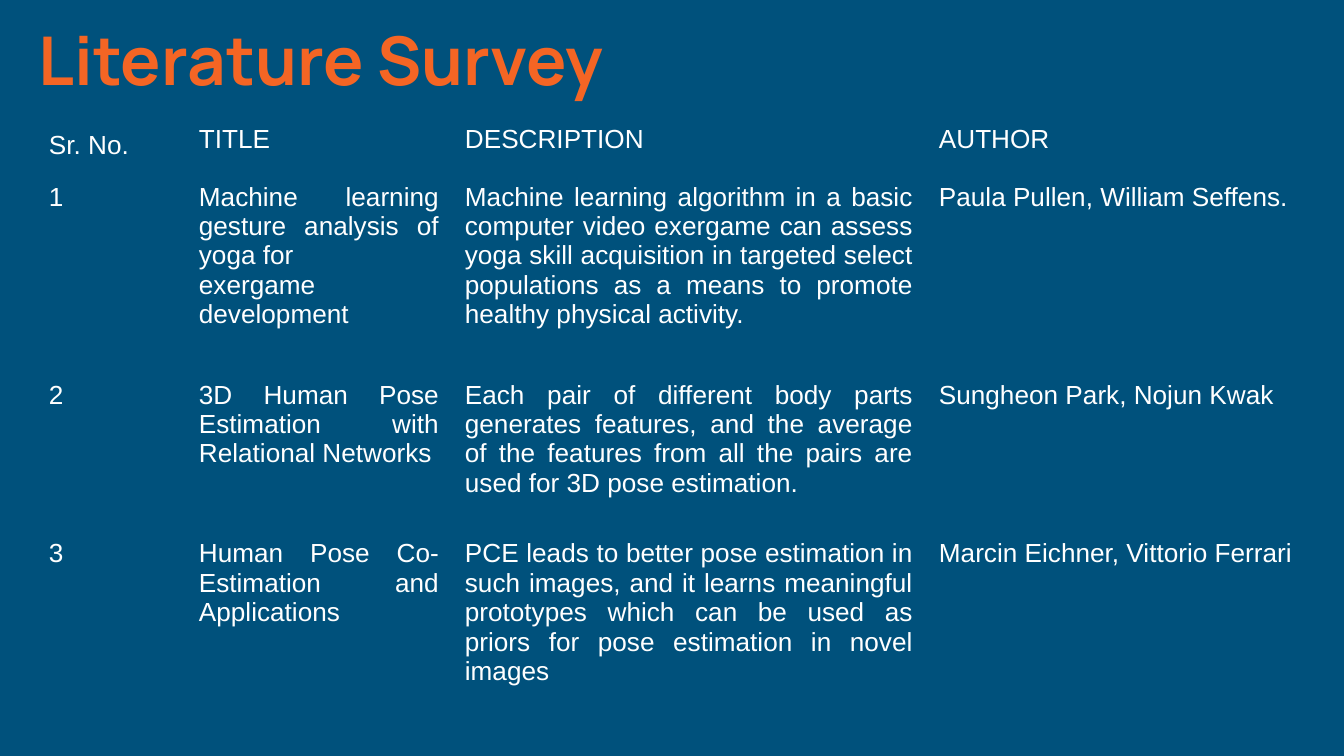
from dataclasses import dataclass

from pptx import Presentation
from pptx.dml.color import RGBColor as Rgb
from pptx.enum.text import PP_ALIGN as Align
from pptx.util import Pt

EMU_PER_PX = 914400 / 134.4


@dataclass(frozen=True)
class Theme:
    background: Rgb = Rgb.from_string("00517C")
    accent: Rgb = Rgb.from_string("F46524")
    text: Rgb = Rgb.from_string("FFFFFF")
    title_font: str = "Manrope"
    body_font: str = "Arial"
    title_size: int = 36
    body_size: int = 14


THEME = Theme()
TITLE_FORMAT = {"name": THEME.title_font, "size": Pt(THEME.title_size), "bold": True}
BODY_FORMAT = {"name": THEME.body_font, "size": Pt(THEME.body_size), "bold": False}
NO_GRID_STYLE = "{2D5ABB26-0587-4C30-8999-92F81FD0307C}"

COLUMN_WIDTHS = (150, 266, 474, 382)
ROW_HEIGHTS = (56, 198, 159, 192)
PAPERS = (
    ("Sr. No.", "TITLE", "DESCRIPTION", "AUTHOR"),
    ("1",
     "Machine learning gesture analysis of yoga for\nexergame development",
     "Machine learning algorithm in a basic computer video exergame can assess "
     "yoga skill acquisition in targeted select populations as a means to promote "
     "healthy physical activity.",
     "Paula Pullen, William Seffens."),
    ("2",
     "3D Human Pose Estimation with Relational Networks",
     "Each pair of different body parts generates features, and the average of the "
     "features from all the pairs are used for 3D pose estimation.",
     "Sungheon Park, Nojun Kwak"),
    ("3",
     "Human Pose Co-Estimation and Applications",
     "PCE leads to better pose estimation in such images, and it learns meaningful "
     "prototypes which can be used as priors for pose estimation in novel images",
     "Marcin Eichner, Vittorio Ferrari"),
)


def px(length):
    return round(length * EMU_PER_PX)


def set_margins(target, side, end):
    margins = {"margin_left": side, "margin_right": side,
               "margin_top": end, "margin_bottom": end}
    for name, length in margins.items():
        setattr(target, name, px(length))


def write_text(frame, text, formats, color, align):
    """Fill a text frame, one paragraph per line of text."""
    frame.word_wrap = True
    for index, line in enumerate(text.split("\n")):
        para = frame.add_paragraph() if index else frame.paragraphs[0]
        para.alignment = align
        span = para.add_run()
        span.text = line
        for name, value in formats.items():
            setattr(span.font, name, value)
        span.font.color.rgb = color


def add_heading(page, box, text):
    frame = page.shapes.add_textbox(*map(px, box)).text_frame
    set_margins(frame, 13, 7)
    write_text(frame, text, TITLE_FORMAT, THEME.accent, Align.LEFT)


def add_survey_table(page, left, top):
    box = (left, top, sum(COLUMN_WIDTHS), sum(ROW_HEIGHTS))
    graphic = page.shapes.add_table(len(PAPERS), len(COLUMN_WIDTHS), *map(px, box))
    table = graphic.table
    table.first_row = table.horz_banding = False
    table._tbl.tblPr.find("{*}tableStyleId").text = NO_GRID_STYLE
    for column, width in zip(table.columns, COLUMN_WIDTHS):
        column.width = px(width)
    for row, height, texts in zip(table.rows, ROW_HEIGHTS, PAPERS):
        row.height = px(height)
        for cell, text in zip(row.cells, texts):
            cell.fill.solid()
            cell.fill.fore_color.rgb = THEME.background
            set_margins(cell, 13, 7)
            write_text(cell.text_frame, text, BODY_FORMAT, THEME.text, Align.JUSTIFY)
    set_margins(table.cell(0, 0), 13, 13)


def main():
    deck = Presentation()
    deck.slide_width, deck.slide_height = px(1344), px(756)
    page = deck.slides.add_slide(deck.slide_layouts[6])
    page.background.fill.solid()
    page.background.fill.fore_color.rgb = THEME.background
    add_heading(page, (26, 11, 1145, 94), "Literature Survey")
    add_survey_table(page, 36, 118)
    deck.save("out.pptx")


if __name__ == "__main__":
    main()
